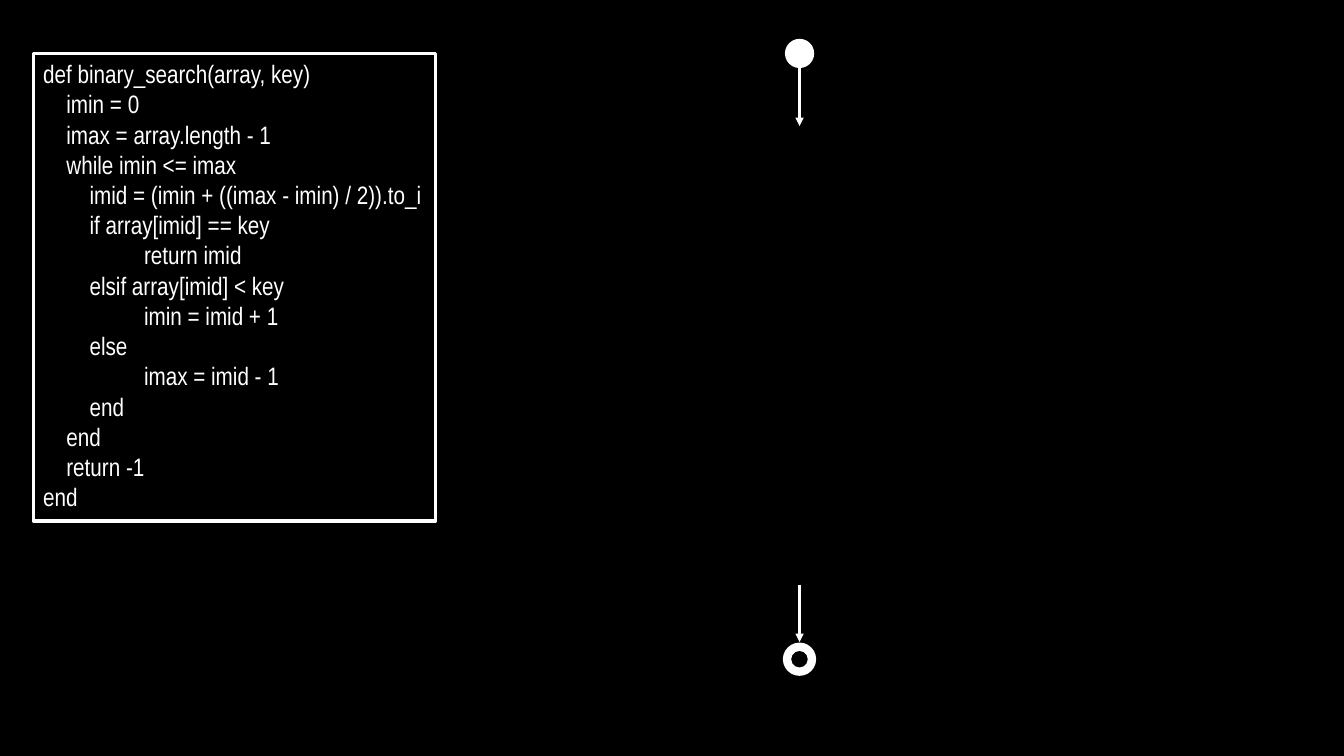
from dataclasses import dataclass

from lxml.etree import SubElement
from pptx import Presentation
from pptx.dml.color import RGBColor
from pptx.enum.shapes import MSO_CONNECTOR as Connector, MSO_SHAPE as Shape
from pptx.enum.text import MSO_ANCHOR as Anchor, MSO_AUTO_SIZE as AutoSize, PP_ALIGN as Align
from pptx.oxml.ns import qn
from pptx.util import Inches, Pt

COLORS = {"background": "000000", "foreground": "FFFFFF"}
FONT = "Arial Narrow"
FLOW_X = 7.93
INDENTS = (0, 0.23, 0.46, 1)


@dataclass
class CodeLine:
    level: int
    text: str


@dataclass
class Node:
    kind: Shape
    center_y: float
    diameter: float


@dataclass
class Arrow:
    top: float
    bottom: float


CODE = [
    CodeLine(0, "def binary_search(array, key)"),
    CodeLine(1, "imin = 0"),
    CodeLine(1, "imax = array.length - 1"),
    CodeLine(1, "while imin <= imax"),
    CodeLine(2, "imid = (imin + ((imax - imin) / 2)).to_i"),
    CodeLine(2, "if array[imid] == key"),
    CodeLine(3, "return imid"),
    CodeLine(2, "elsif array[imid] < key"),
    CodeLine(3, "imin = imid + 1"),
    CodeLine(2, "else"),
    CodeLine(3, "imax = imid - 1"),
    CodeLine(2, "end"),
    CodeLine(1, "end"),
    CodeLine(1, "return -1"),
    CodeLine(0, "end"),
]
NODES = [Node(Shape.OVAL, 0.53, 0.29), Node(Shape.DONUT, 6.54, 0.33)]
ARROWS = [Arrow(0.67, 1.25), Arrow(5.8, 6.37)]


def color(name: str) -> RGBColor:
    return RGBColor.from_string(COLORS[name])


def add_code_box(slide, lines: list[CodeLine]) -> None:
    box = slide.shapes.add_shape(
        Shape.RECTANGLE, Inches(0.33), Inches(0.53), Inches(3.99), Inches(4.64))
    box.shadow.inherit = False
    box.fill.background()
    box.line.color.rgb = color("foreground")
    box.line.width = Pt(2.25)
    frame = box.text_frame
    frame.word_wrap = True
    frame.auto_size = AutoSize.SHAPE_TO_FIT_TEXT
    frame.vertical_anchor = Anchor.TOP
    for index, line in enumerate(lines):
        paragraph = frame.add_paragraph() if index else frame.paragraphs[0]
        paragraph.alignment = Align.LEFT
        properties = paragraph._p.get_or_add_pPr()
        properties.set("marL", str(Inches(INDENTS[line.level])))
        properties.set("indent", "0")
        run = paragraph.add_run()
        run.text = line.text
        run.font.name = FONT
        run.font.size = Pt(18)
        run.font.color.rgb = color("foreground")


def add_node(slide, node: Node) -> None:
    radius = node.diameter / 2
    shape = slide.shapes.add_shape(
        node.kind, Inches(FLOW_X - radius), Inches(node.center_y - radius),
        Inches(node.diameter), Inches(node.diameter))
    shape.shadow.inherit = False
    shape.fill.solid()
    shape.fill.fore_color.rgb = color("foreground")
    shape.line.fill.background()


def add_arrow(slide, arrow: Arrow) -> None:
    connector = slide.shapes.add_connector(
        Connector.STRAIGHT, Inches(FLOW_X), Inches(arrow.top),
        Inches(FLOW_X), Inches(arrow.bottom))
    connector.line.color.rgb = color("foreground")
    connector.line.width = Pt(1.5)
    SubElement(connector.line._get_or_add_ln(), qn("a:tailEnd"), type="triangle")
    SubElement(connector._element.spPr, qn("a:effectLst"))


def main() -> None:
    presentation = Presentation()
    presentation.slide_width = Inches(13.33)
    presentation.slide_height = Inches(7.5)
    slide = presentation.slides.add_slide(presentation.slide_layouts[6])
    slide.background.fill.solid()
    slide.background.fill.fore_color.rgb = color("background")

    add_code_box(slide, CODE)
    for node in NODES:
        add_node(slide, node)
    for arrow in ARROWS:
        add_arrow(slide, arrow)
    presentation.save("out.pptx")


if __name__ == "__main__":
    main()
